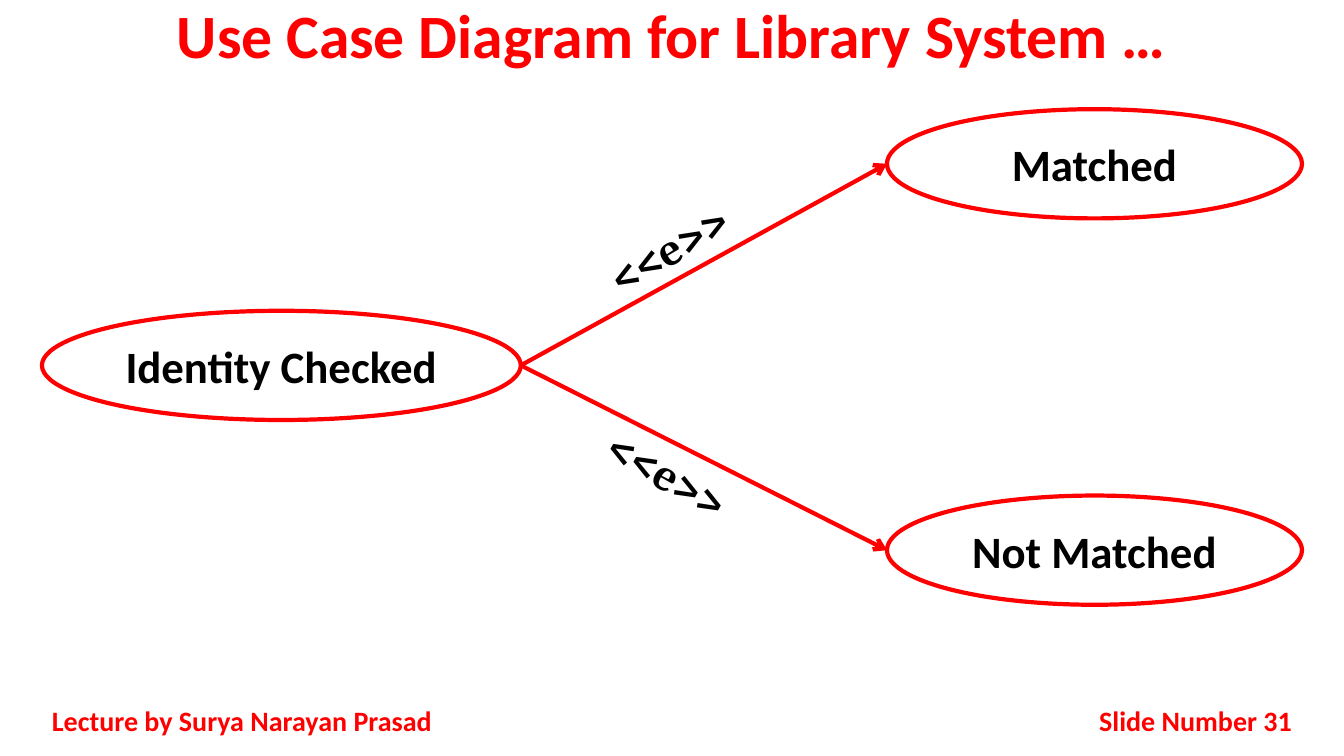
from dataclasses import dataclass

import pptx
import pptx.dml.color
import pptx.enum.shapes
import pptx.enum.text
import pptx.oxml
import pptx.oxml.ns
import pptx.util

ALIGN = pptx.enum.text.PP_ALIGN
ANCHOR = pptx.enum.text.MSO_ANCHOR
RGB = pptx.dml.color.RGBColor


@dataclass(frozen=True)
class Theme:
    accent: RGB = RGB(0xFF, 0x00, 0x00)
    ink: RGB = RGB(0x00, 0x00, 0x00)
    paper: RGB = RGB(0xFF, 0xFF, 0xFF)
    font: str = "Calibri"
    label_font: str = "Cambria"
    title_size: int = 44
    diagram_size: int = 32
    footer_size: int = 20
    line_width: int = 3


@dataclass(frozen=True)
class Area:
    """A rectangle in grid columns and rows."""
    column: float
    row: float
    columns: float
    rows: float


@dataclass(frozen=True)
class UseCase:
    name: str
    area: Area


@dataclass(frozen=True)
class Extension:
    target: UseCase
    label_row: float
    label_angle: float


@dataclass(frozen=True)
class Footer:
    text: str
    area: Area
    align: ALIGN


THEME = Theme()
WIDTH, HEIGHT = pptx.util.Inches(13.33), pptx.util.Inches(7.5)
COLUMNS, ROWS = 32, 18
OVAL_ROWS = 2.6

IDENTITY = UseCase("Identity Checked", Area(1, 7.4, 11.4, OVAL_ROWS))
MATCHED = UseCase("Matched", Area(21.12, 2.6, 9.88, OVAL_ROWS))
NOT_MATCHED = UseCase("Not Matched", Area(21.12, 11.8, 9.88, OVAL_ROWS))
EXTENSIONS = [Extension(MATCHED, 5.14, -30.5), Extension(NOT_MATCHED, 10.51, 29.8)]
FOOTERS = [
    Footer("Lecture by Surya Narayan Prasad", Area(1, 16.68, 10, 0.96), ALIGN.JUSTIFY),
    Footer("Slide Number 31", Area(24.4, 16.68, 6.6, 0.96), ALIGN.RIGHT),
]


def across(columns: float) -> int:
    return round(WIDTH * columns / COLUMNS)


def down(rows: float) -> int:
    return round(HEIGHT * rows / ROWS)


def bounds(area: Area) -> tuple[int, int, int, int]:
    return across(area.column), down(area.row), across(area.columns), down(area.rows)


def write(shape, text: str, size: int, color: RGB, align: ALIGN = ALIGN.CENTER,
          anchor: ANCHOR = ANCHOR.MIDDLE, font: str = THEME.font):
    """Fill a shape with one bold paragraph and return that paragraph."""
    frame = shape.text_frame
    frame.text = text
    frame.word_wrap = True
    frame.vertical_anchor = anchor
    para = frame.paragraphs[0]
    para.alignment = align
    para.font.name = font
    para.font.size = pptx.util.Pt(size)
    para.font.bold = True
    para.font.color.rgb = color
    return para


def outline(line) -> None:
    line.color.rgb = THEME.accent
    line.width = pptx.util.Pt(THEME.line_width)


def set_title(page, text: str) -> None:
    title = page.shapes.title
    title.left, title.top, title.width, title.height = bounds(Area(0, 0, COLUMNS, 2))
    para = write(title, text, THEME.title_size, THEME.accent, anchor=ANCHOR.TOP)
    para.line_spacing = 0.9
    title.text_frame.auto_size = pptx.enum.text.MSO_AUTO_SIZE.NONE


def add_footer(page, footer: Footer) -> None:
    box = page.shapes.add_textbox(*bounds(footer.area))
    write(box, footer.text, THEME.footer_size, THEME.accent, footer.align)


def add_use_case(page, case: UseCase) -> None:
    oval = page.shapes.add_shape(pptx.enum.shapes.MSO_SHAPE.OVAL, *bounds(case.area))
    oval.shadow.inherit = False
    oval.fill.solid()
    oval.fill.fore_color.rgb = THEME.paper
    outline(oval.line)
    write(oval, case.name, THEME.diagram_size, THEME.ink)


def add_arrow(page, source: Area, target: Area) -> None:
    """Join the right end of one oval to the left end of another."""
    arrow = page.shapes.add_connector(
        pptx.enum.shapes.MSO_CONNECTOR.STRAIGHT,
        across(source.column + source.columns), down(source.row + source.rows / 2),
        across(target.column), down(target.row + target.rows / 2))
    outline(arrow.line)
    properties = arrow.element.spPr
    head = pptx.oxml.parse_xml(
        f'<a:tailEnd {pptx.oxml.ns.nsdecls("a")} type="arrow"/>')
    properties.find(pptx.oxml.ns.qn("a:ln")).append(head)
    properties.append(pptx.oxml.parse_xml(
        f'<a:effectLst {pptx.oxml.ns.nsdecls("a")}/>'))


def add_extension_label(page, extension: Extension) -> None:
    box = page.shapes.add_textbox(*bounds(Area(13.5, extension.label_row, 4.8, 1.54)))
    box.rotation = extension.label_angle
    write(box, "<<e>>", THEME.diagram_size, THEME.ink,
          anchor=ANCHOR.TOP, font=THEME.label_font)
    box.text_frame.auto_size = pptx.enum.text.MSO_AUTO_SIZE.SHAPE_TO_FIT_TEXT


def main() -> None:
    deck = pptx.Presentation()
    deck.slide_width, deck.slide_height = WIDTH, HEIGHT
    page = deck.slides.add_slide(deck.slide_layouts.get_by_name("Title Only"))
    set_title(page, "Use Case Diagram for Library System …")
    for footer in FOOTERS:
        add_footer(page, footer)
    for case in (IDENTITY, MATCHED, NOT_MATCHED):
        add_use_case(page, case)
    for extension in EXTENSIONS:
        add_arrow(page, IDENTITY.area, extension.target.area)
    for extension in EXTENSIONS:
        add_extension_label(page, extension)
    deck.save("out.pptx")


if __name__ == "__main__":
    main()
